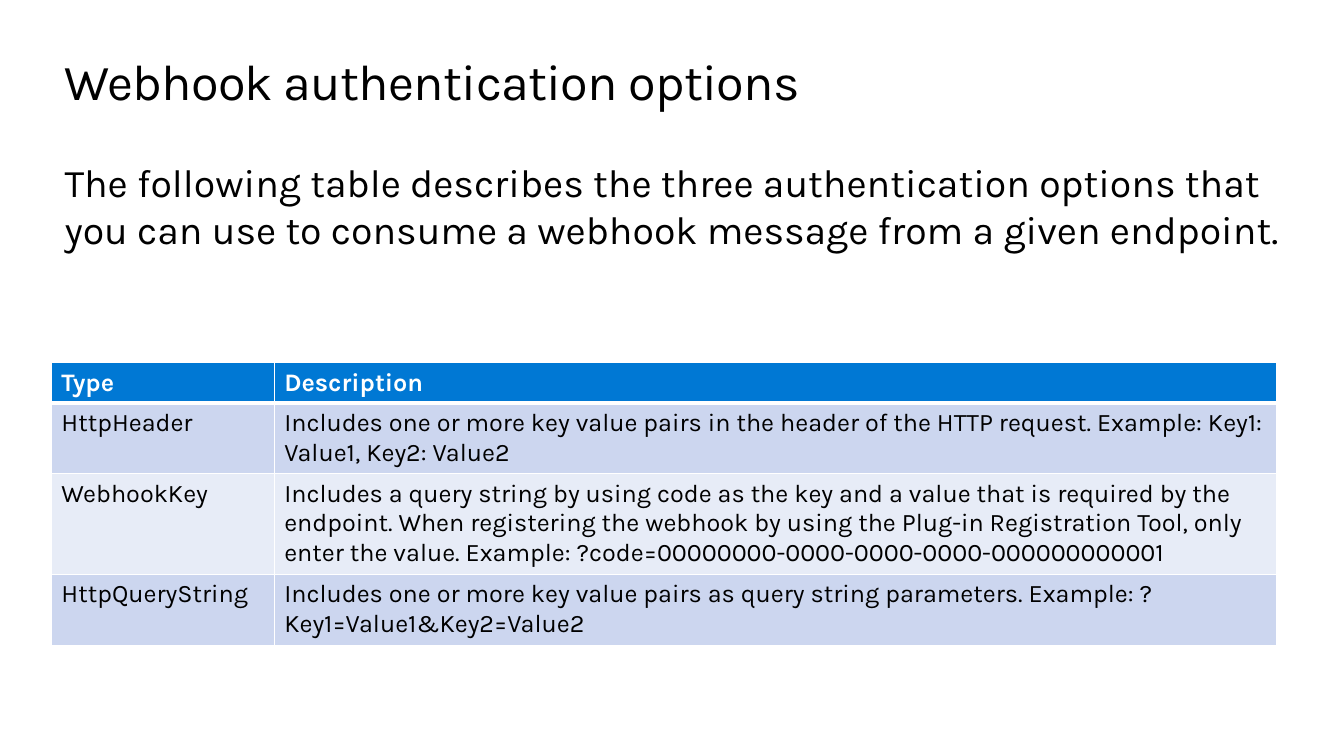
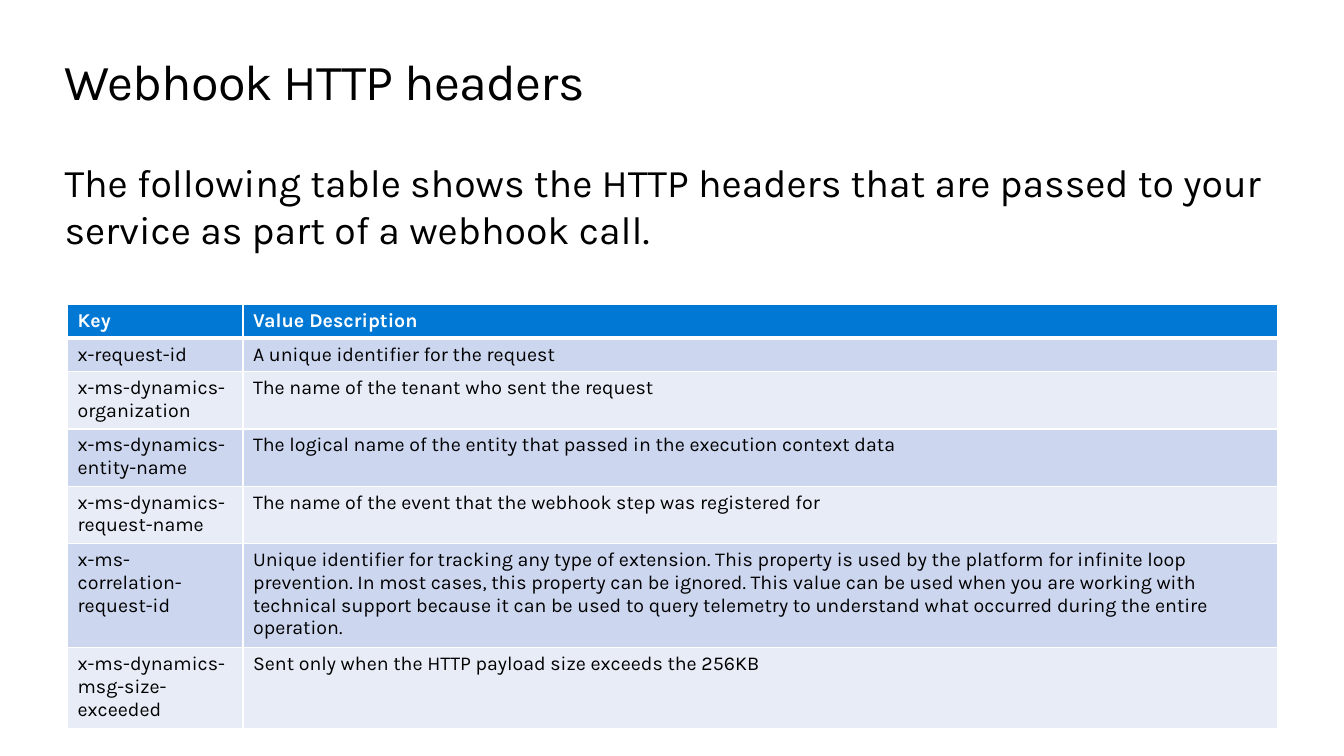
from dataclasses import dataclass

from lxml.etree import SubElement
from pptx import Presentation
from pptx.dml.color import RGBColor
from pptx.oxml.ns import qn
from pptx.slide import Slide
from pptx.table import _Cell as Cell
from pptx.text.text import Font
from pptx.util import Inches, Pt

FONT = "Karla"
BLACK, WHITE = "000000", "FFFFFF"
HEADER_FILL = "0078D4"
BAND_FILLS = ("CCD6EF", "E7ECF7")
TEXT_LEFT, TEXT_WIDTH = 0.64, 12.05
LINE_FACTOR = 1.17
CELL_PADDING = 0.1


@dataclass(frozen=True)
class Row:
    name: str
    description: str
    lines: int = 1


@dataclass(frozen=True)
class TableSlide:
    title: str
    intro: str
    left: float
    top: float
    column_widths: tuple[float, float]
    font_size: int
    rows: tuple[Row, ...]


SLIDES = (
    TableSlide(
        "Webhook authentication options",
        "The following table describes the three authentication options that "
        "you can use to consume a webhook message from a given endpoint.",
        0.51, 3.6, (2.21, 9.94), 18,
        (
            Row("Type", "Description"),
            Row("HttpHeader",
                "Includes one or more key value pairs in the header of the HTTP request. "
                "Example: Key1: Value1, Key2: Value2", 2),
            Row("WebhookKey",
                "Includes a query string by using code as the key and a value that is "
                "required by the endpoint. When registering the webhook by using the "
                "Plug-in Registration Tool, only enter the value. "
                "Example: ?code=00000000-0000-0000-0000-000000000001", 3),
            Row("HttpQueryString",
                "Includes one or more key value pairs as query string parameters. "
                "Example: ?Key1=Value1&Key2=Value2", 2),
        ),
    ),
    TableSlide(
        "Webhook HTTP headers",
        "The following table shows the HTTP headers that are passed to your "
        "service as part of a webhook call.",
        0.67, 3.02, (1.74, 10.26), 14,
        (
            Row("Key", "Value Description"),
            Row("x-request-id", "A unique identifier for the request"),
            Row("x-ms-dynamics-organization",
                "The name of the tenant who sent the request", 2),
            Row("x-ms-dynamics-entity-name",
                "The logical name of the entity that passed in the execution context data", 2),
            Row("x-ms-dynamics-request-name",
                "The name of the event that the webhook step was registered for", 2),
            Row("x-ms-correlation-request-id",
                "Unique identifier for tracking any type of extension. This property is "
                "used by the platform for infinite loop prevention. In most cases, this "
                "property can be ignored. This value can be used when you are working "
                "with technical support because it can be used to query telemetry to "
                "understand what occurred during the entire operation.", 4),
            Row("x-ms-dynamics-msg-size-exceeded",
                "Sent only when the HTTP payload size exceeds the 256KB", 3),
        ),
    ),
)


def color(value: str) -> RGBColor:
    return RGBColor.from_string(value)


def style_font(font: Font, size: int, font_color: str, bold: bool = False) -> None:
    font.name = FONT
    font.size = Pt(size)
    font.bold = bold
    font.color.rgb = color(font_color)


def add_text(slide: Slide, text: str, top: float, height: float, size: int,
             spacing: float = 0) -> None:
    """Add a text box without insets; spacing is between letters, in points."""
    box = slide.shapes.add_textbox(
        Inches(TEXT_LEFT), Inches(top), Inches(TEXT_WIDTH), Inches(height))
    frame = box.text_frame
    frame.word_wrap = True
    frame.margin_left = frame.margin_top = frame.margin_right = frame.margin_bottom = 0
    paragraph = frame.paragraphs[0]
    run = paragraph.add_run()
    run.text = text
    style_font(paragraph.font, size, BLACK)
    if spacing:
        run.font._element.set("spc", str(round(spacing * 100)))


def set_borders(cell: Cell, top: float, bottom: float) -> None:
    """Draw white borders, 1 point wide at the sides; call before filling the cell."""
    properties = cell._tc.get_or_add_tcPr()
    for side, width in (("L", 1), ("R", 1), ("T", top), ("B", bottom)):
        line = SubElement(properties, qn(f"a:ln{side}"), w=str(Pt(width)))
        fill = SubElement(line, qn("a:solidFill"))
        SubElement(fill, qn("a:srgbClr"), val=WHITE)


def add_table(slide: Slide, content: TableSlide) -> None:
    line_height = content.font_size * LINE_FACTOR / 72
    heights = [CELL_PADDING + row.lines * line_height for row in content.rows]
    table = slide.shapes.add_table(
        len(content.rows), len(content.column_widths),
        Inches(content.left), Inches(content.top),
        Inches(sum(content.column_widths)), Inches(sum(heights))).table
    for column, width in zip(table.columns, content.column_widths):
        column.width = Inches(width)
    for index, (row, height) in enumerate(zip(content.rows, heights)):
        table.rows[index].height = Inches(height)
        is_header = index == 0
        for column_index, text in enumerate((row.name, row.description)):
            cell = table.cell(index, column_index)
            set_borders(cell, top=3 if index == 1 else 1, bottom=3 if is_header else 1)
            cell.fill.solid()
            cell.fill.fore_color.rgb = color(
                HEADER_FILL if is_header else BAND_FILLS[(index - 1) % 2])
            cell.text = text
            style_font(cell.text_frame.paragraphs[0].font, content.font_size,
                       WHITE if is_header else BLACK, is_header)


def main() -> None:
    presentation = Presentation()
    presentation.slide_width = Inches(13.33)
    presentation.slide_height = Inches(7.5)
    for content in SLIDES:
        slide = presentation.slides.add_slide(presentation.slide_layouts[6])
        add_text(slide, content.title, top=0.5, height=0.6, size=36, spacing=-0.5)
        add_text(slide, content.intro, top=1.57, height=0.93, size=28)
        add_table(slide, content)
    presentation.save("out.pptx")


if __name__ == "__main__":
    main()
